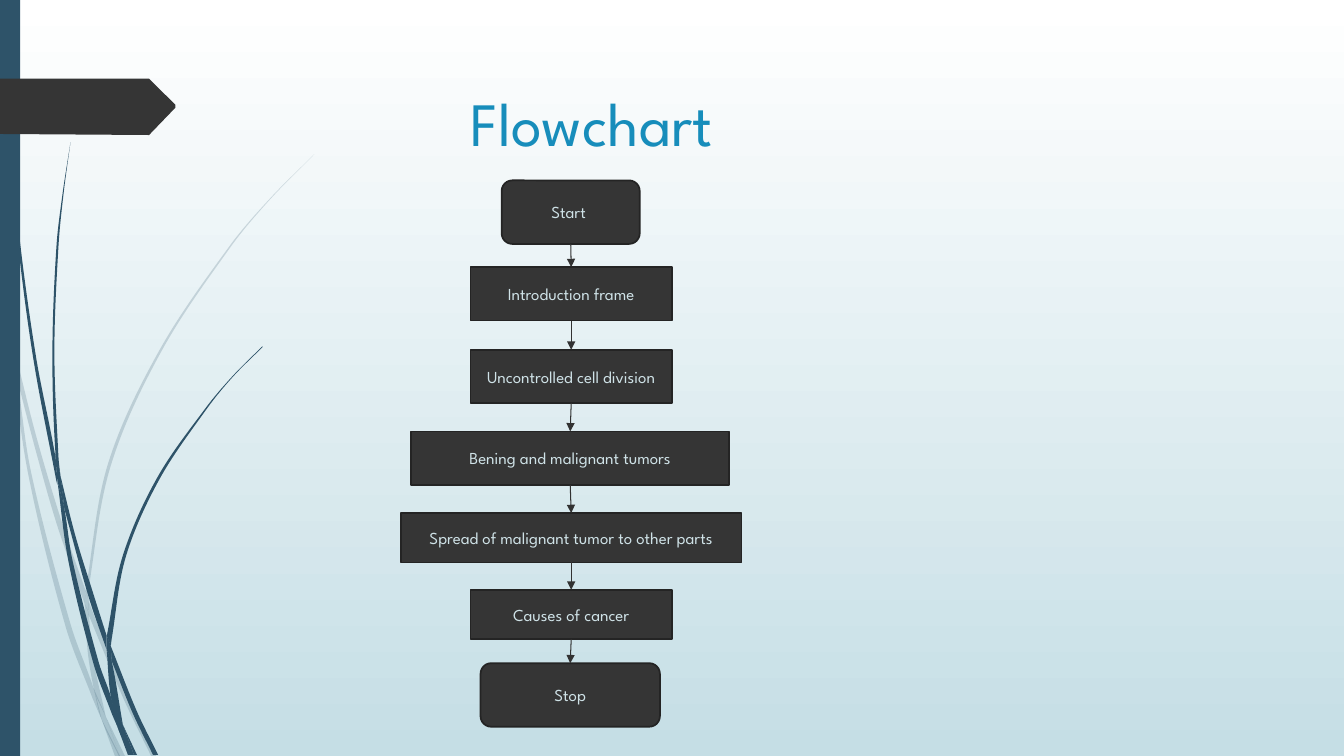
from itertools import pairwise
from math import dist

from lxml.etree import SubElement
from pptx import Presentation
from pptx.dml.color import RGBColor
from pptx.enum.shapes import MSO_CONNECTOR, MSO_SHAPE
from pptx.enum.text import MSO_ANCHOR, PP_ALIGN
from pptx.oxml.ns import qn
from pptx.util import Pt

PX = 9144  # EMU per px, 100 px to the inch
SLIDE_W, SLIDE_H = 1334, 750
FONT = "League Spartan"

WHITE = RGBColor(0xFF, 0xFF, 0xFF)
PALE_BLUE = RGBColor(0xC5, 0xDE, 0xE5)
NAVY = RGBColor(0x2E, 0x53, 0x69)
CHARCOAL = RGBColor(0x35, 0x35, 0x35)
BOX_EDGE = RGBColor(0x24, 0x24, 0x24)
ARROW = RGBColor(0x32, 0x32, 0x32)
TITLE_BLUE = RGBColor(0x17, 0x8D, 0xBB)
STEP_TEXT = RGBColor(0xCF, 0xE2, 0xE7)

TITLE = "Flowchart"
# Step text, left, top, width, height, rounded
STEPS = [
    ("Start ", 498, 179, 137, 63, True),
    ("Introduction frame", 467, 265, 200, 53, False),
    ("Uncontrolled cell division", 467, 347, 200, 53, False),
    ("Bening and malignant tumors", 408, 428, 316, 53, False),
    ("Spread of malignant tumor to other parts", 398, 509, 338, 49, False),
    ("Causes of cancer", 467, 585, 200, 49, False),
    ("Stop", 477, 658, 178, 63, True),
]

# Grass pieces: knots along one edge, then back along the other
PALE_GRASS = [
    ([(0, 282), (8, 322), (11, 350)], [(10, 344), (0, 299)]),
    ([(14, 345), (36, 433), (62, 520), (85, 586)],
     [(84, 599), (57, 522), (36, 449), (17, 376)]),
    ([(88, 596), (92, 607), (127, 692), (155, 750)], [(150, 750), (123, 694), (88, 610)]),
    ([(105, 711), (124, 750)], [(119, 750), (105, 711)]),
    ([(11, 350), (17, 376), (31, 469), (70, 619), (93, 683), (101, 714)],
     [(92, 693), (65, 621), (28, 470), (11, 350)]),
    ([(84, 599), (88, 608), (91, 646), (105, 711)],
     [(96, 692), (93, 683), (87, 646), (84, 599)]),
    ([(312, 153), (268, 197), (228, 244), (158, 348), (107, 461), (85, 586)],
     [(88, 596), (88, 584), (110, 462), (160, 349), (229, 245), (268, 198), (312, 153)]),
    ([(101, 714), (119, 750)], [(114, 750), (101, 714)]),
    ([(85, 586), (88, 596), (88, 610)], [(88, 608), (84, 599)]),
    ([(93, 683), (105, 711), (119, 750)], [(118, 750), (101, 714), (93, 683)]),
]
DARK_GRASS = [
    ([(3, 0), (5, 48), (8, 109), (19, 232), (36, 355), (55, 453), (57, 481)],
     [(56, 477), (33, 355), (17, 233), (7, 110), (3, 48), (3, 0)]),
    ([(60, 472), (75, 532), (93, 590), (106, 631)], [(106, 645), (88, 592), (64, 505)]),
    ([(110, 641), (136, 706), (157, 749)], [(152, 749), (132, 708), (111, 656)]),
    ([(57, 477), (64, 505), (72, 556), (98, 657), (110, 691), (117, 722)],
     [(111, 708), (93, 659), (68, 557), (57, 477)]),
    ([(70, 141), (62, 193), (56, 245), (52, 349), (55, 449), (60, 471)],
     [(60, 472), (58, 453), (54, 349), (58, 245), (63, 193), (70, 141)]),
    ([(122, 719), (136, 749)], [(133, 749), (122, 719)]),
    ([(55, 449), (60, 472), (64, 505)], [(57, 477), (55, 453)]),
    ([(260, 344), (231, 373), (204, 405), (156, 474), (122, 551), (106, 631)],
     [(110, 641), (111, 633), (125, 552), (158, 476), (205, 406), (231, 374), (261, 344)]),
    ([(117, 722), (131, 749)], [(127, 749), (117, 722)]),
    ([(106, 645), (111, 656), (122, 719)], [(116, 706), (110, 691), (106, 645)]),
    ([(106, 631), (110, 641), (111, 656)], [(106, 645)]),
    ([(110, 691), (122, 719), (133, 749)], [(130, 749), (117, 722), (110, 691)]),
]
TAG = [(0, 78), (148, 78), (174, 104), (174, 107), (148, 134), (0, 133)]


def to_emu(points):
    return [(round(x * PX), round(y * PX)) for x, y in points]


def bezier_edge(knots):
    """Control and end points of a smooth curve through the knots."""
    points = []
    last = len(knots) - 1
    for i, (start, end) in enumerate(pairwise(knots)):
        before, after = knots[max(i - 1, 0)], knots[min(i + 2, last)]
        span = dist(start, end)
        reach_in = span / (span + dist(before, start)) / 3
        reach_out = span / (span + dist(end, after)) / 3
        points.append([s + (e - b) * reach_in for b, s, e in zip(before, start, end)])
        points.append([e - (a - s) * reach_out for s, e, a in zip(start, end, after)])
        points.append(end)
    return points


def paint(shape, color):
    shape.shadow.inherit = False
    shape.fill.solid()
    shape.fill.fore_color.rgb = color
    shape.line.fill.background()


def add_outline(shapes, points, color):
    first, *others = to_emu(points)
    builder = shapes.build_freeform(*first, scale=1.0)
    builder.add_line_segments(others, close=True)
    outline = builder.convert_to_shape()
    paint(outline, color)
    return outline


def add_grass(shapes, edge, return_edge, opacity):
    corner = [edge[-1], return_edge[0], return_edge[0]]
    points = [edge[0]] + bezier_edge(edge) + corner + bezier_edge(return_edge)
    grass = add_outline(shapes, points, NAVY)
    # Each three line segments become one curve
    segments = list(grass._element.iter(qn("a:lnTo")))
    for i in range(0, len(segments), 3):
        curve = segments[i]
        curve.tag = qn("a:cubicBezTo")
        for segment in segments[i + 1:i + 3]:
            curve.append(segment[0])
            segment.getparent().remove(segment)
    if opacity < 100:
        tint = grass._element.spPr.find(".//" + qn("a:srgbClr"))
        SubElement(tint, qn("a:alpha"), val=str(opacity * 1000))


def add_text(frame, text, size, color):
    frame.word_wrap = True
    paragraph = frame.paragraphs[0]
    paragraph.alignment = PP_ALIGN.CENTER
    run = paragraph.add_run()
    run.text = text
    run.font.name = FONT
    run.font.size = Pt(size)
    run.font.color.rgb = color


def add_step(shapes, text, left, top, width, height, rounded):
    kind = MSO_SHAPE.ROUNDED_RECTANGLE if rounded else MSO_SHAPE.RECTANGLE
    step = shapes.add_shape(kind, left * PX, top * PX, width * PX, height * PX)
    paint(step, CHARCOAL)
    step.line.color.rgb = BOX_EDGE
    step.line.width = Pt(1.25)
    step.text_frame.vertical_anchor = MSO_ANCHOR.MIDDLE
    add_text(step.text_frame, text, 12, STEP_TEXT)
    return step


def add_arrow(shapes, upper, lower):
    arrow = shapes.add_connector(MSO_CONNECTOR.STRAIGHT, 0, 0, 0, 0)
    arrow.begin_connect(upper, 2)
    arrow.end_connect(lower, 0)
    arrow.line.color.rgb = ARROW
    arrow.line.width = Pt(0.75)
    SubElement(arrow.line._get_or_add_ln(), qn("a:tailEnd"), type="triangle")
    SubElement(arrow._element.spPr, qn("a:effectLst"))


def main():
    deck = Presentation()
    deck.slide_width, deck.slide_height = SLIDE_W * PX, SLIDE_H * PX
    slide = deck.slides.add_slide(deck.slide_layouts[5])
    shapes = slide.shapes

    # Background
    backdrop = slide.background.fill
    backdrop.gradient()
    backdrop.gradient_angle = 270
    for stop, color, position in zip(backdrop.gradient_stops, (WHITE, PALE_BLUE), (0, 1)):
        stop.color.rgb = color
        stop.position = position

    # Grass, side band and tag
    for pieces, opacity in ((PALE_GRASS, 20), (DARK_GRASS, 100)):
        for edge, return_edge in pieces:
            add_grass(shapes, edge, return_edge, opacity)
    band = shapes.add_shape(MSO_SHAPE.RECTANGLE, 0, 0, 20 * PX, SLIDE_H * PX)
    paint(band, NAVY)
    add_outline(shapes, TAG, CHARCOAL)

    # Title
    title = shapes.title
    title.left, title.top, title.width, title.height = (v * PX for v in (73, 79, 1029, 153))
    title.text_frame.vertical_anchor = MSO_ANCHOR.TOP
    add_text(title.text_frame, TITLE, 44, TITLE_BLUE)
    title.text_frame.paragraphs[0].add_line_break()

    # Flowchart
    steps = [add_step(shapes, *step) for step in STEPS]
    for upper, lower in pairwise(steps):
        add_arrow(shapes, upper, lower)

    deck.save("out.pptx")


if __name__ == "__main__":
    main()
